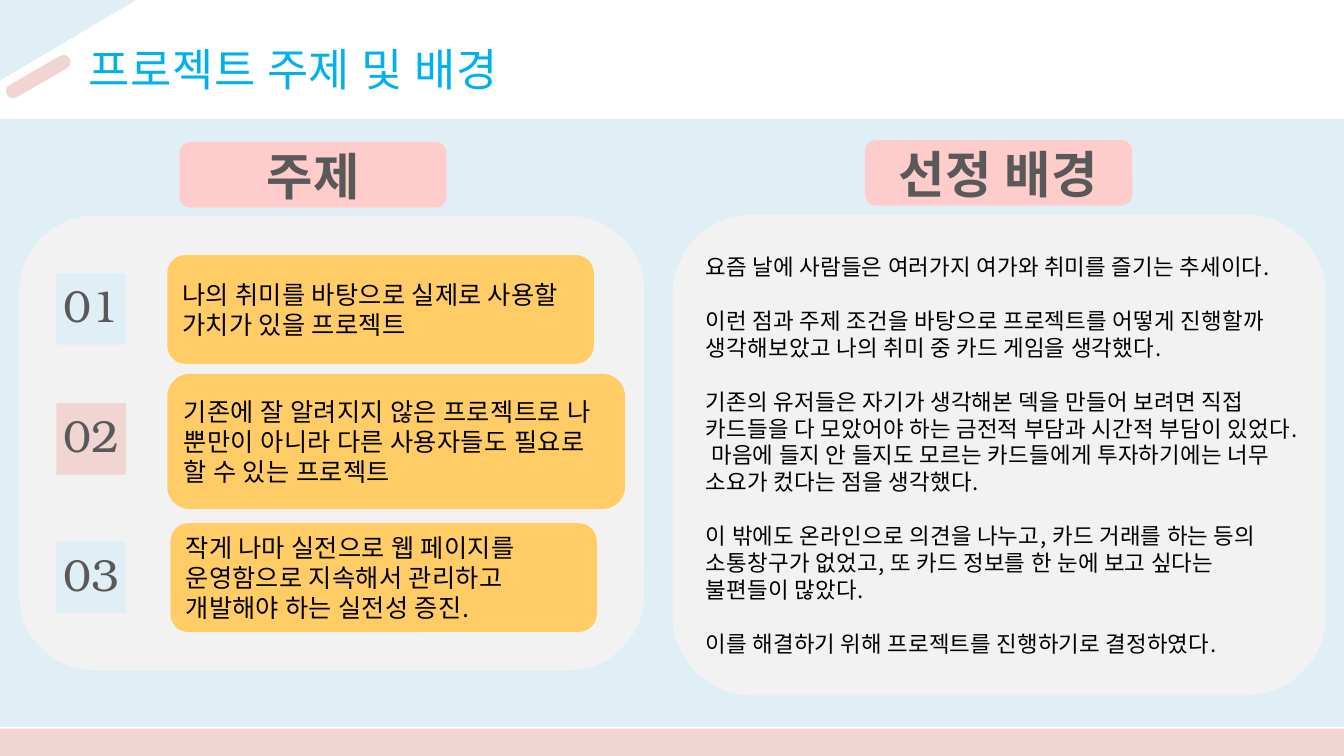
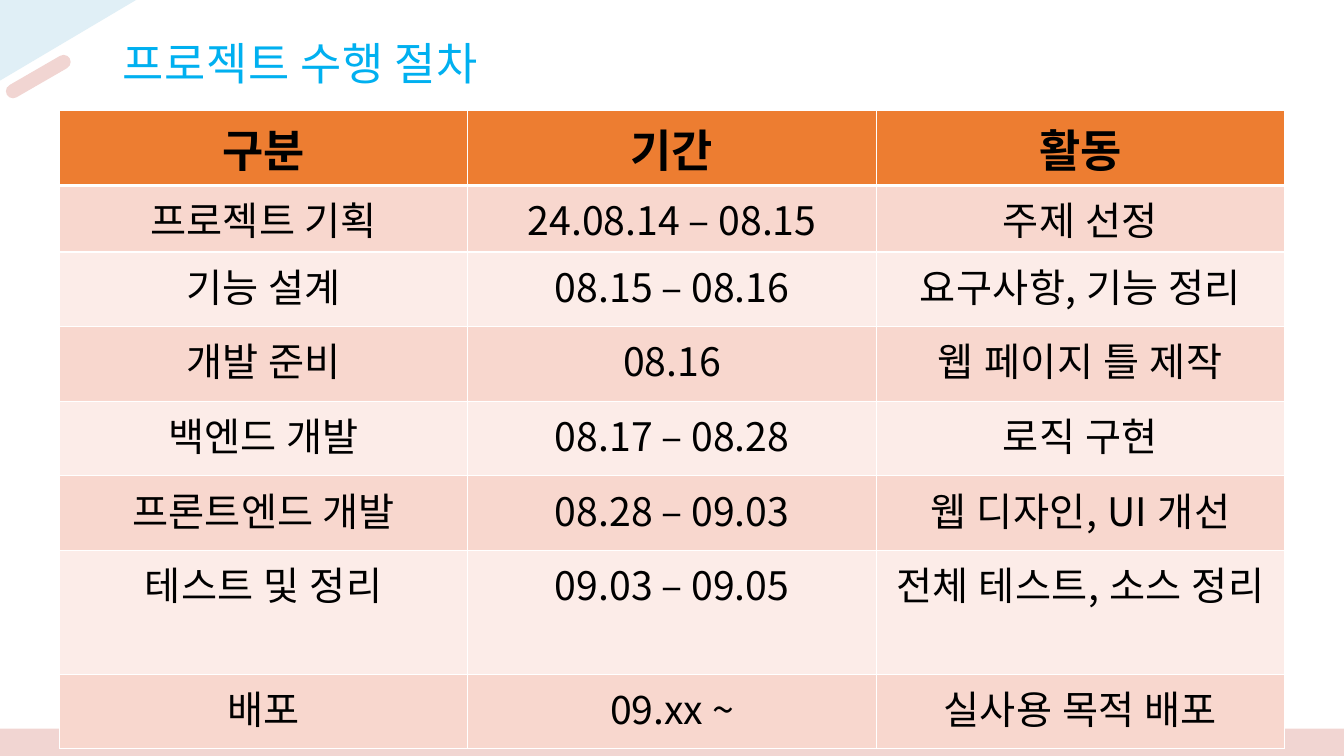
"""Builds two slides on a project: its topic and background, and its schedule."""
from dataclasses import dataclass

from lxml import etree
from pptx import Presentation
from pptx import util as u
from pptx.dml.color import RGBColor
from pptx.enum import shapes, text
from pptx.oxml.ns import qn

Inches, Pt = u.Inches, u.Pt
ROUND, RECT = shapes.MSO_SHAPE.ROUNDED_RECTANGLE, shapes.MSO_SHAPE.RECTANGLE
CENTER, LEFT = text.PP_ALIGN.CENTER, text.PP_ALIGN.LEFT
TOP, MIDDLE = text.MSO_ANCHOR.TOP, text.MSO_ANCHOR.MIDDLE


@dataclass(frozen=True)
class Theme:
    sky: str = "E0EFF6"
    rose: str = "F1D5D2"
    panel: str = "F2F2F2"
    label: str = "FFCCCC"
    card: str = "FFCC66"
    header: str = "ED7D31"
    bands: tuple = ("F8D7CE", "FCECE8")
    white: str = "FFFFFF"
    title: str = "00B0F0"
    heading: str = "595959"
    ink: str = "000000"
    font: str = "Noto Sans CJK KR"
    number_font: str = "TeX Gyre Bonum"
    title_size: int = 32
    label_size: int = 36
    number_size: int = 32
    card_size: int = 18
    body_size: int = 16
    header_size: int = 32
    cell_size: int = 28
    leading: float = 1.2
    word_gap: float = 0.06


THEME = Theme()
SLIDE_W, SLIDE_H, FOOTER_H = 13.33, 7.5, 0.27

TOPIC_TITLE = ("프로젝트 주제 및 배경", (0.33, 0.36, 5.16, 1.21))
SCHEDULE_TITLE = ("프로젝트 수행 절차", (0.48, 0.3, 5, 1.21))
LABELS = [("주제", 1.78, 1.41), ("선정 배경", 8.58, 1.39)]
GOALS = [
    ("01", 2.71, THEME.sky, (1.66, 2.53, 4.23, 1.08),
     "나의 취미를 바탕으로 실제로 사용할 가치가 있을 프로젝트"),
    ("02", 4, THEME.rose, (1.66, 3.71, 4.54, 1.34),
     "기존에 잘 알려지지 않은 프로젝트로 나 뿐만이 아니라 다른 사용자들도 필요로 할 수 있는 프로젝트"),
    ("03", 5.37, THEME.sky, (1.69, 5.19, 4.23, 1.08),
     "작게 나마 실전으로 웹 페이지를 운영함으로 지속해서 관리하고 개발해야 하는 실전성 증진."),
]
BACKGROUND = [
    "요즘 날에 사람들은 여러가지 여가와 취미를 즐기는 추세이다.",
    "이런 점과 주제 조건을 바탕으로 프로젝트를 어떻게 진행할까 생각해보았고 나의 취미 중 카드 게임을 생각했다.",
    "기존의 유저들은 자기가 생각해본 덱을 만들어 보려면 직접 카드들을 다 모았어야 하는 금전적 부담과 "
    "시간적 부담이 있었다. 마음에 들지 안 들지도 모르는 카드들에게 투자하기에는 너무 소요가 컸다는 점을 생각했다.",
    "이 밖에도 온라인으로 의견을 나누고, 카드 거래를 하는 등의 소통창구가 없었고, "
    "또 카드 정보를 한 눈에 보고 싶다는 불편들이 많았다.",
    "이를 해결하기 위해 프로젝트를 진행하기로 결정하였다.",
]
SCHEDULE = [
    ("구분", "기간", "활동"),
    ("프로젝트 기획", "24.08.14 – 08.15", "주제 선정"),
    ("기능 설계", "08.15 – 08.16", "요구사항, 기능 정리"),
    ("개발 준비", "08.16", "웹 페이지 틀 제작"),
    ("백엔드 개발", "08.17 – 08.28", "로직 구현"),
    ("프론트엔드 개발", "08.28 – 09.03", "웹 디자인, UI 개선"),
    ("테스트 및 정리", "09.03 – 09.05", "전체 테스트, 소스 정리"),
    ("배포", "09.xx ~", "실사용 목적 배포"),
]
ROW_HEIGHTS = [0.74, 0.66, 0.74, 0.74, 0.74, 0.74, 1.23, 0.74]
CELL_MARGIN = 0.13


def rgb(color):
    return RGBColor.from_string(color)


def tracking(words, size):
    """Spreads the widening of the word gaps over all characters of a Korean text."""
    if words[0].isdigit():
        return 0
    return round(100 * size * THEME.word_gap * words.count(" ") / len(words))


def write(frame, paragraphs, size, color=THEME.ink, align=LEFT, bold=False,
          font=THEME.font, leading=THEME.leading):
    frame.text = "\n".join(paragraphs)
    for index, paragraph in enumerate(frame.paragraphs):
        paragraph.alignment = align
        if leading:
            paragraph.line_spacing = Pt(size * leading)
            paragraph.space_before = Pt(size * leading if index else 0)
        for run in paragraph.runs:
            run.font.size, run.font.bold, run.font.name = Pt(size), bold, font
            run.font.color.rgb = rgb(color)
            properties = run._r.get_or_add_rPr()
            properties.set("spc", str(tracking(run.text, size)))
            etree.SubElement(properties, qn("a:ea"), typeface=font)


def paint(shape, fill, line=None):
    shape.shadow.inherit = False
    shape.fill.solid()
    shape.fill.fore_color.rgb = rgb(fill)
    if line:
        shape.line.color.rgb, shape.line.width = rgb(line), Pt(1)
    else:
        shape.line.fill.background()


def add_block(slide, kind, box, fill, line=None, paragraphs=(), anchor=MIDDLE, wrap=True, **style):
    block = slide.shapes.add_shape(kind, *map(Inches, box))
    paint(block, fill, line)
    if paragraphs:
        block.text_frame.word_wrap = wrap
        block.text_frame.vertical_anchor = anchor
        write(block.text_frame, paragraphs, **style)
    return block


def add_decor(slide):
    outline = slide.shapes.build_freeform(0, 0)
    outline.add_line_segments([(Inches(1.35), 0), (0, Inches(0.8))], close=True)
    paint(outline.convert_to_shape(), THEME.sky)
    add_block(slide, RECT, (0, SLIDE_H - FOOTER_H, SLIDE_W, FOOTER_H), THEME.rose)
    dash = add_block(slide, ROUND, (0.02, 0.69, 0.72, 0.14), THEME.rose)
    dash.adjustments[0] = 0.5
    dash.rotation = 330


def add_title(slide, title, box):
    heading = slide.shapes.add_textbox(*map(Inches, box)).text_frame
    heading.word_wrap = True
    write(heading, [title], THEME.title_size, THEME.title, CENTER)


def set_borders(cell, bottom):
    properties = cell._tc.get_or_add_tcPr()
    for index, (side, points) in enumerate((("L", 1), ("R", 1), ("T", 1), ("B", bottom))):
        border = etree.Element(qn(f"a:ln{side}"), w=str(Pt(points)))
        fill = etree.SubElement(border, qn("a:solidFill"))
        etree.SubElement(fill, qn("a:srgbClr"), val=THEME.white)
        properties.insert(index, border)


def build_topic(slide):
    add_block(slide, RECT, (0, 1.19, SLIDE_W, 6.02), THEME.sky, line=THEME.sky)
    add_title(slide, *TOPIC_TITLE)
    add_block(slide, ROUND, (0.19, 2.14, 6.2, 4.51), THEME.panel)
    add_block(slide, ROUND, (6.67, 2.13, 6.48, 4.77), THEME.panel,
              paragraphs=BACKGROUND, size=THEME.body_size)
    for label, left, top in LABELS:
        add_block(slide, ROUND, (left, top, 2.65, 0.65), THEME.label, paragraphs=[label],
                  size=THEME.label_size, color=THEME.heading, align=CENTER, bold=True)
    for number, top, fill, card, goal in GOALS:
        add_block(slide, RECT, (0.56, top, 0.69, 0.71), fill, paragraphs=[number],
                  anchor=TOP, wrap=False, size=THEME.number_size, color=THEME.heading,
                  align=CENTER, font=THEME.number_font)
        add_block(slide, ROUND, card, THEME.card, paragraphs=[goal], size=THEME.card_size)


def build_schedule(slide):
    add_title(slide, *SCHEDULE_TITLE)
    box = (0.59, 1.1, 12.15, sum(ROW_HEIGHTS))
    table = slide.shapes.add_table(len(SCHEDULE), len(SCHEDULE[0]), *map(Inches, box)).table
    for row, (height, entries) in enumerate(zip(ROW_HEIGHTS, SCHEDULE)):
        table.rows[row].height = Inches(height)
        is_header = row == 0
        for column, entry in enumerate(entries):
            cell = table.cell(row, column)
            cell.margin_left = cell.margin_right = Inches(CELL_MARGIN)
            cell.fill.solid()
            cell.fill.fore_color.rgb = rgb(THEME.header if is_header else THEME.bands[(row - 1) % 2])
            set_borders(cell, 3 if is_header else 1)
            write(cell.text_frame, [entry], THEME.header_size if is_header else THEME.cell_size,
                  align=CENTER, bold=is_header, leading=None)


def main():
    deck = Presentation()
    deck.slide_width, deck.slide_height = Inches(SLIDE_W), Inches(SLIDE_H)
    for build in (build_topic, build_schedule):
        slide = deck.slides.add_slide(deck.slide_layouts[6])
        add_decor(slide)
        build(slide)
    deck.save("out.pptx")


if __name__ == "__main__":
    main()
